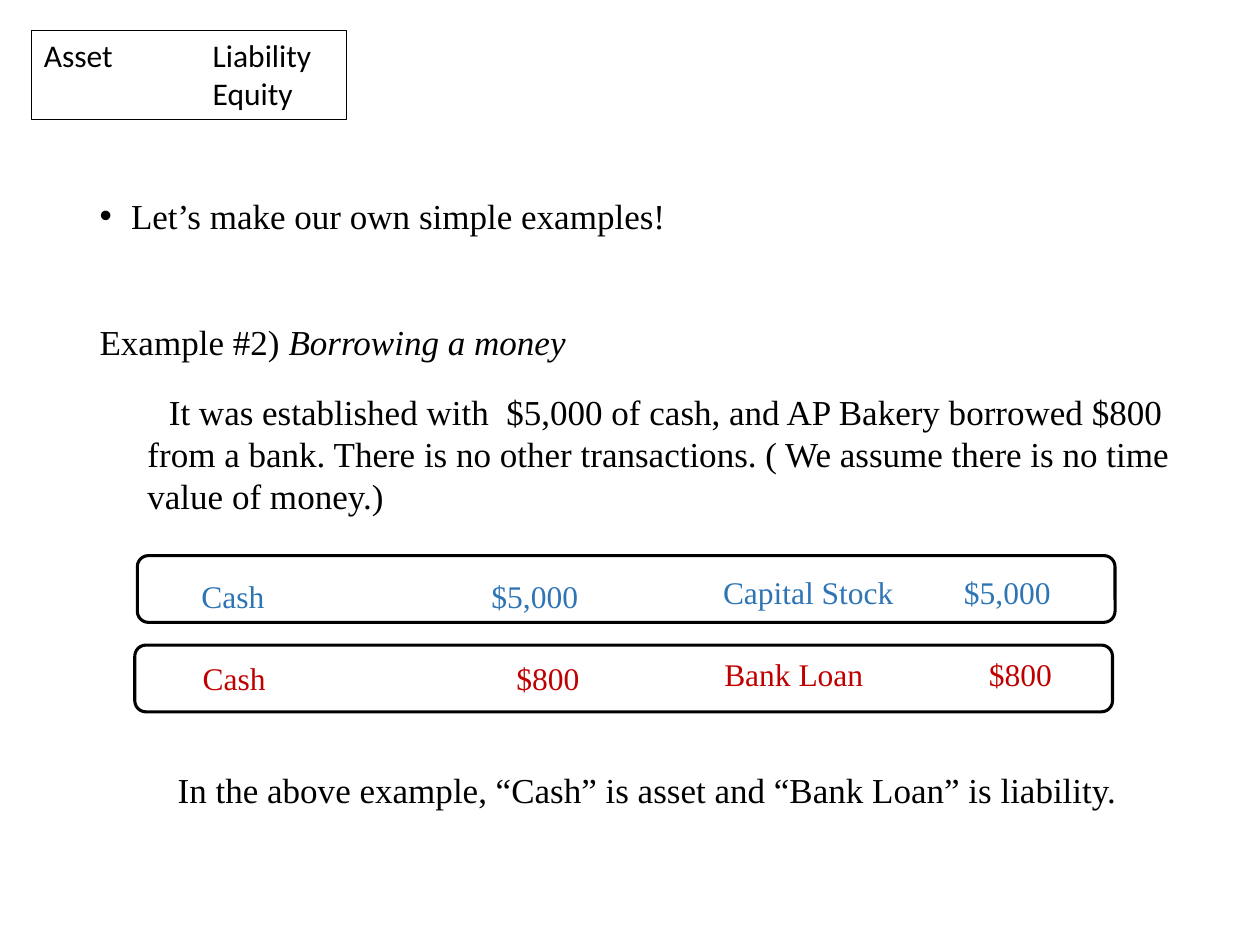
from dataclasses import dataclass

from lxml.etree import SubElement
from pptx import Presentation
from pptx.dml.color import RGBColor
from pptx.enum.shapes import MSO_SHAPE
from pptx.enum.text import MSO_ANCHOR, MSO_AUTO_SIZE, PP_ALIGN
from pptx.oxml.ns import qn
from pptx.util import Inches, Pt


@dataclass(frozen=True)
class Theme:
    """Fonts, sizes and colours of the slide."""
    serif: str = "Times New Roman"
    sans: str = "Calibri"
    body: int = 20
    label: int = 18
    ink: RGBColor = RGBColor(0x00, 0x00, 0x00)
    capital: RGBColor = RGBColor(0x2E, 0x75, 0xB6)
    loan: RGBColor = RGBColor(0xC0, 0x00, 0x00)


THEME = Theme()


def style(para, font, size, color):
    """Format every run of a paragraph."""
    for span in para.runs:
        span.font.name = font
        span.font.size = Pt(size)
        span.font.color.rgb = color


def set_indent(para, margin, first):
    """Set the left margin and first-line indent."""
    properties = para._p.get_or_add_pPr()
    properties.set("marL", str(Inches(margin)))
    properties.set("indent", str(Inches(first)))


def set_bullet(para, char=None):
    """Give a paragraph a bullet character, or none."""
    properties = para._p.get_or_add_pPr()
    if char:
        SubElement(properties, qn("a:buFont")).set("typeface", "Arial")
        SubElement(properties, qn("a:buChar")).set("char", char)
    else:
        SubElement(properties, qn("a:buNone"))


def set_tab(para, position, align):
    """Add one tab stop to a paragraph."""
    tabs = SubElement(para._p.get_or_add_pPr(), qn("a:tabLst"))
    tab = SubElement(tabs, qn("a:tab"))
    tab.set("pos", str(Inches(position)))
    tab.set("algn", align)


def add_frame(page, kind, left, top, width, height, weight):
    """Draw an unfilled outline."""
    box = page.shapes.add_shape(
        kind, Inches(left), Inches(top), Inches(width), Inches(height))
    box.shadow.inherit = False
    box.fill.background()
    box.line.color.rgb = THEME.ink
    box.line.width = Pt(weight)
    return box


def add_equation_box(page):
    """Draw the box that sets assets against liability and equity."""
    box = add_frame(page, MSO_SHAPE.RECTANGLE, 0.25, 0.24, 2.5, 0.71, 0.75)
    frame = box.text_frame
    frame.text = "Asset\tLiability\n\tEquity"
    frame.vertical_anchor = MSO_ANCHOR.TOP
    for para in frame.paragraphs:
        set_tab(para, 1.34, "l")
        para.alignment = PP_ALIGN.LEFT
        style(para, THEME.sans, THEME.label, THEME.ink)


def fill_body(body):
    """Write the example into the body placeholder."""
    body.left, body.top = Inches(0.69), Inches(1.55)
    body.width, body.height = Inches(8.87), Inches(4.76)
    frame = body.text_frame
    frame.auto_size = MSO_AUTO_SIZE.NONE
    frame.vertical_anchor = MSO_ANCHOR.TOP
    rows = [
        (["Let’s make our own simple examples!"], "•", 0.25, -0.25, 20, 0),
        (["Example #2) ", "Borrowing a money"], None, 0.38, -0.38, 20, 46),
        (["It was established with  $5,000 of cash, and AP Bakery borrowed "
          "$800 from a bank. There is no other transactions. ( We assume "
          "there is no time value of money.)"], None, 0.38, 0.17, 24, 10),
        (["In the above example, “Cash” is asset and “Bank Loan” is "
          "liability."], None, 0.38, 0.24, 20, 142),
    ]
    for index, (texts, bullet, margin, first, line, before) in enumerate(rows):
        para = frame.add_paragraph() if index else frame.paragraphs[0]
        set_bullet(para, bullet)
        set_indent(para, margin, first)
        para.line_spacing = Pt(line)
        para.space_before, para.space_after = Pt(before), Pt(6)
        for text in texts:
            para.add_run().text = text
        style(para, THEME.serif, THEME.body, THEME.ink)
        for span in para.runs[1:]:
            span.font.italic = True


def add_entry(page, left, top, account, amount, tab, color, line=None):
    """Write an account name with its right-aligned amount."""
    box = page.shapes.add_textbox(
        Inches(left), Inches(top), Inches(3.2), Inches(0.4))
    frame = box.text_frame
    frame.word_wrap = True
    frame.text = f"{account}\t{amount}"
    para = frame.paragraphs[0]
    set_tab(para, tab, "r")
    if line:
        para.line_spacing = Pt(line)
    style(para, THEME.serif, THEME.label, color)


def add_ledger_row(page, left, top, frame_at, source, amount, color):
    """Draw one transaction: cash on the left, its source on the right."""
    add_entry(page, left, top, "Cash", amount, 2.99, color)
    add_entry(page, left + 4.14, top - 0.01, source, amount, 2.6, color, 20)
    add_frame(page, MSO_SHAPE.ROUNDED_RECTANGLE, *frame_at, 7.76, 0.53, 1.75)


def main():
    """Build and save the slide."""
    deck = Presentation()
    deck.slide_width, deck.slide_height = Inches(10), Inches(7.5)
    page = deck.slides.add_slide(deck.slide_layouts[1])
    title = page.shapes.title._element
    title.getparent().remove(title)
    fill_body(page.placeholders[1])
    add_equation_box(page)
    add_ledger_row(page, 1.5, 4.53, (1.09, 4.41), "Capital Stock", "$5,000",
                   THEME.capital)
    add_ledger_row(page, 1.51, 5.18, (1.07, 5.12), "Bank Loan", "$800",
                   THEME.loan)
    deck.save("out.pptx")


if __name__ == "__main__":
    main()
